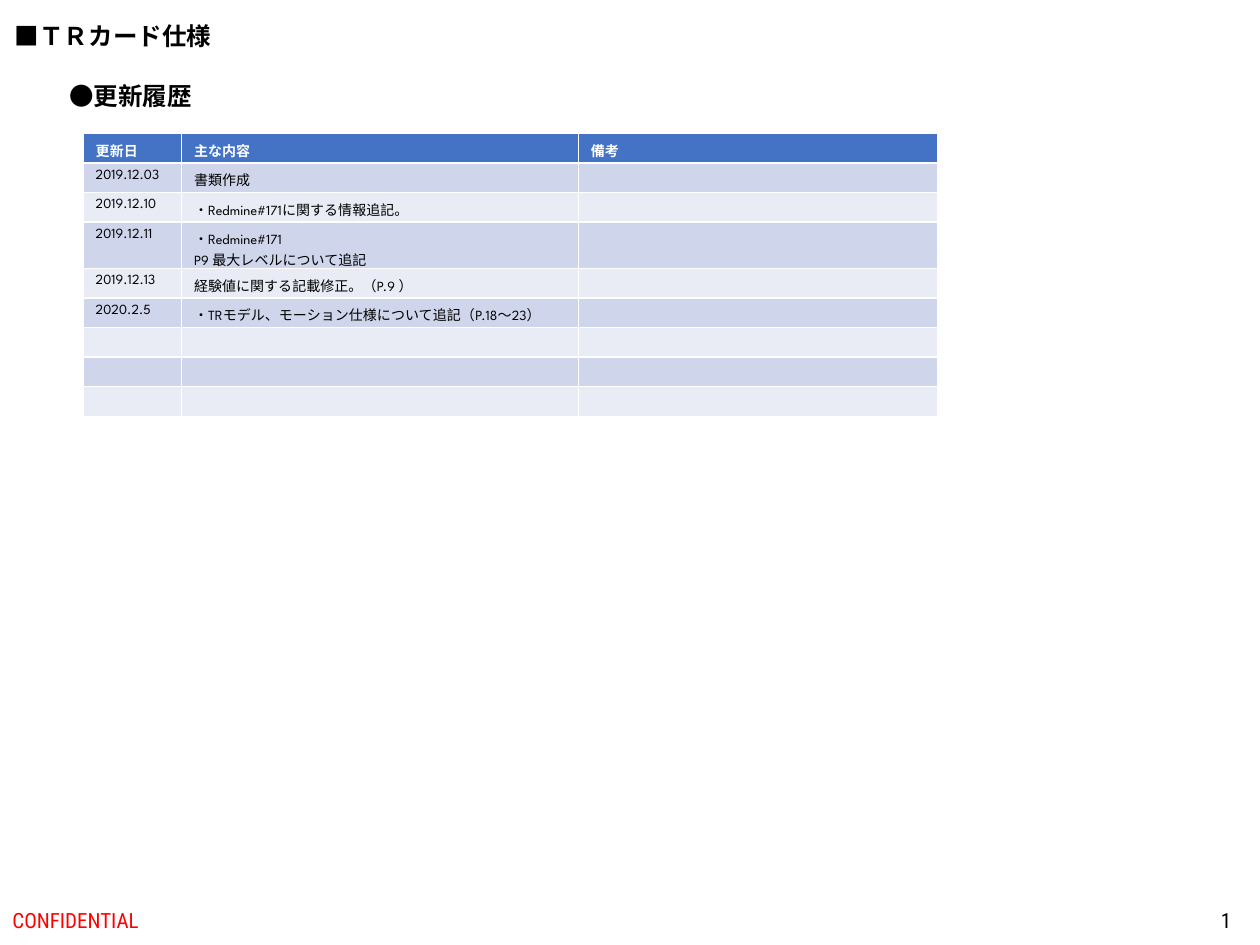
from dataclasses import dataclass

from lxml import etree
from pptx import Presentation
from pptx import util as u
from pptx.dml.color import RGBColor
from pptx.enum import text
from pptx.oxml import ns

SPARTAN = "League Spartan"
ROBOTO = "Roboto Condensed"
BLACK, WHITE, RED = "000000", "FFFFFF", "FF0000"
HEAD, BANDS = "4472C4", ("CFD5EA", "E9EBF5")
COLS = (0.78, 3.15, 2.85)
LINE, TALL = 0.235, 0.365
ROWS = (
    ("更新日", "主な内容", "備考"),
    ("2019.12.03", "書類作成", ""),
    ("2019.12.10", "・Redmine#171に関する情報追記。", ""),
    ("2019.12.11", "・Redmine#171\nP9 最大レベルについて追記", ""),
    ("2019.12.13", "経験値に関する記載修正。（P.9 ）", ""),
    ("2020.2.5", "・TRモデル、モーション仕様について追記（P.18～23）", ""),
    *[("", "", "")] * 3,
)


@dataclass
class Label:
    words: str
    left: float
    top: float
    width: float
    height: float
    face: str
    size: float
    tint: str = BLACK
    bold: bool = False
    wrap: bool = True
    align: text.PP_ALIGN = text.PP_ALIGN.LEFT


LABELS = (
    Label("■ＴＲカード仕様", 0.02, 0.12, 1.77, 0.34, "Arial", 14, bold=True, wrap=False),
    Label("CONFIDENTIAL", 0, 7.1, 3.38, 0.4, ROBOTO, 12, RED),
    Label("1", 7.62, 7.1, 2.25, 0.4, ROBOTO, 12, align=text.PP_ALIGN.RIGHT),
    Label("●更新履歴", 0.45, 0.59, 1.18, 0.34, SPARTAN, 14, bold=True, wrap=False),
)


def color(code: str) -> RGBColor:
    return RGBColor.from_string(code)


def style(frame, face: str, size: float, tint: str, bold: bool) -> None:
    for para in frame.paragraphs:
        for run in para.runs:
            run.font.name = face
            run.font.size = u.Pt(size)
            run.font.bold = bold
            run.font.color.rgb = color(tint)
        if not para.runs:
            end = etree.SubElement(para._p, ns.qn("a:endParaRPr"))
            end.set("sz", str(int(size * 100)))
            etree.SubElement(end, ns.qn("a:latin")).set("typeface", face)


def draw_label(slide, item: Label) -> None:
    box = slide.shapes.add_textbox(
        u.Inches(item.left), u.Inches(item.top),
        u.Inches(item.width), u.Inches(item.height),
    )
    frame = box.text_frame
    frame.text = item.words
    frame.word_wrap = item.wrap
    if item.wrap:
        frame.vertical_anchor = text.MSO_ANCHOR.MIDDLE
    else:
        frame.auto_size = text.MSO_AUTO_SIZE.SHAPE_TO_FIT_TEXT
    frame.paragraphs[0].alignment = item.align
    style(frame, item.face, item.size, item.tint, item.bold)


def draw_table(slide) -> None:
    highs = [TALL if "\n" in row[1] else LINE for row in ROWS]
    table = slide.shapes.add_table(
        len(ROWS), len(COLS), u.Inches(0.66), u.Inches(1.06),
        u.Inches(sum(COLS)), u.Inches(sum(highs)),
    ).table
    for col, width in zip(table.columns, COLS):
        col.width = u.Inches(width)
    for i, (row, high) in enumerate(zip(ROWS, highs)):
        table.rows[i].height = u.Inches(high)
        top = i == 0
        for j, words in enumerate(row):
            cell = table.cell(i, j)
            cell.fill.solid()
            cell.fill.fore_color.rgb = color(HEAD if top else BANDS[(i - 1) % 2])
            cell.text_frame.text = words
            style(cell.text_frame, SPARTAN, 8, WHITE if top else BLACK, top)


def main() -> None:
    deck = Presentation()
    deck.slide_width, deck.slide_height = u.Inches(10), u.Inches(7.5)
    slide = deck.slides.add_slide(deck.slide_layouts[6])
    for item in LABELS:
        draw_label(slide, item)
    draw_table(slide)
    deck.save("out.pptx")


if __name__ == "__main__":
    main()
